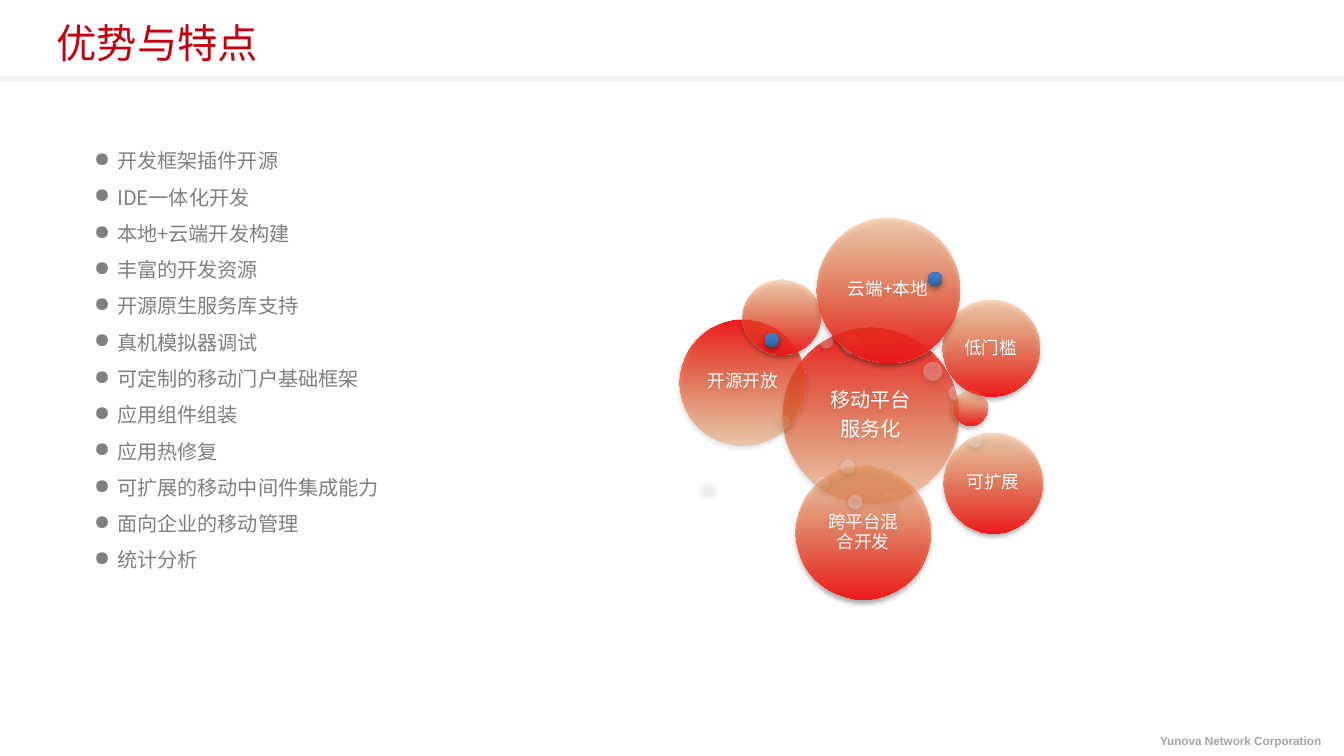
from pptx import Presentation, util as u
from pptx.dml.color import RGBColor
from pptx.enum import shapes, text
from pptx.oxml import parse_xml
from pptx.oxml.ns import nsdecls, qn
from lxml import etree

SANS = "Noto Sans CJK SC"
TITLE = "优势与特点"
FOOTER = "Yunova Network Corporation"
POINTS = [
    "开发框架插件开源", "IDE一体化开发", "本地+云端开发构建", "丰富的开发资源",
    "开源原生服务库支持", "真机模拟器调试", "可定制的移动门户基础框架", "应用组件组装",
    "应用热修复", "可扩展的移动中间件集成能力", "面向企业的移动管理", "统计分析",
]
RED = [(0, "EE1A1D", 100), (100, "FA8730", 30)]
CORE = [(0, "EE1A1D", 97), (100, "FA8730", 30)]
BLUE = [(0, "2F5F99", 100), (80, "3D7CC7", 100), (100, "3A7CCB", 100)]
GLASS = [(0, "FFFFFF", 25)]
DOWN, UP = 90, 270

# left, top, width, height, stops, angle, label, size
SMALL, LARGE = 0.12, 0.16


def dot(left, top, size=SMALL, stops=GLASS):
    return left, top, size, size, stops, UP, "", 0


BUBBLES = [
    (6.47, 2.71, 1.45, 1.45, CORE, DOWN, "移动平台\n服务化", 12),
    dot(6.74, 3.94), dot(7.84, 3.19), dot(7.28, 4.07, LARGE),
    dot(6.77, 2.76), dot(6.41, 3.43),
    (5.62, 2.64, 1.04, 1.04, RED, DOWN, "开源开放", 10.5),
    dot(6.96, 2.77, LARGE),
    (6.14, 2.31, 0.64, 0.62, RED, UP, "", 0),
    (7.79, 2.48, 0.8, 0.8, RED, UP, "低门槛", 10.5),
    dot(7.63, 2.99, LARGE), dot(5.79, 3.97), dot(6.95, 3.8),
    (7.8, 3.58, 0.82, 0.83, RED, UP, "可扩展", 10.5),
    dot(8, 3.58),
    (6.58, 3.85, 1.11, 1.11, RED, UP, "跨平台混合开发", 10.5),
    dot(7.01, 4.09),
    (6.75, 1.8, 1.18, 1.2, RED, UP, "云端+本地", 10.5),
    dot(6.32, 2.75, stops=BLUE), dot(7.67, 2.25, stops=BLUE),
    (7.87, 3.23, 0.29, 0.29, RED, UP, "", 0),
]


def tint(hue):
    return RGBColor.from_string(hue)


def place(*box):
    return [u.Inches(n) for n in box]


def style(frame, size, hue, font=SANS, bold=False):
    for para in frame.paragraphs:
        for run in para.runs:
            run.font.size = u.Pt(size)
            run.font.name = font
            run.font.bold = bold
            run.font.color.rgb = tint(hue)
            east = etree.SubElement(run.font._element, qn("a:ea"))
            east.set("typeface", font)


def label(box, words, size, hue, wrap=True, **look):
    frame = slide.shapes.add_textbox(*place(*box)).text_frame
    frame.word_wrap = wrap
    frame.text = words
    style(frame, size, hue, **look)
    return frame


def shade(hue, alpha):
    return f'<a:srgbClr val="{hue}"><a:alpha val="{alpha * 1000}"/></a:srgbClr>'


def paint(shape, stops, angle):
    shape.fill.solid()
    if len(stops) == 1:
        body = f'<a:solidFill {nsdecls("a")}>{shade(*stops[0][1:])}</a:solidFill>'
    else:
        marks = "".join(f'<a:gs pos="{pos * 1000}">{shade(hue, alpha)}</a:gs>'
                        for pos, hue, alpha in stops)
        body = (f'<a:gradFill {nsdecls("a")} rotWithShape="1"><a:gsLst>{marks}</a:gsLst>'
                f'<a:lin ang="{angle * 60000}" scaled="0"/></a:gradFill>')
    props = shape._element.spPr
    props.replace(props.find(qn("a:solidFill")), parse_xml(body))


def drop(shape):
    shape.shadow.inherit = False
    cast = (f'<a:outerShdw {nsdecls("a")} blurRad="{u.Pt(3.1)}" dist="{u.Pt(1.8)}" '
            f'dir="5400000" rotWithShape="0">{shade("000000", 35)}</a:outerShdw>')
    shape._element.spPr.find(qn("a:effectLst")).append(parse_xml(cast))


def bubble(left, top, width, height, stops, angle, words, size):
    shape = slide.shapes.add_shape(shapes.MSO_SHAPE.OVAL, *place(left, top, width, height))
    paint(shape, stops, angle)
    shape.line.fill.background()
    drop(shape)
    if not words:
        return
    frame = shape.text_frame
    frame.word_wrap = True
    frame.vertical_anchor = text.MSO_ANCHOR.MIDDLE
    frame.margin_left = frame.margin_right = u.Inches(0.05)
    frame.margin_top = frame.margin_bottom = u.Inches(0.05)
    frame.text = words
    for para in frame.paragraphs:
        para.alignment = text.PP_ALIGN.CENTER
        para.line_spacing = 0.9
        para.space_after = u.Pt(size * 0.35)
    style(frame, size, "FFFFFF")


deck = Presentation()
deck.slide_width, deck.slide_height = place(11.11, 6.25)
slide = deck.slides.add_slide(deck.slide_layouts[6])

rule = slide.shapes.add_shape(shapes.MSO_SHAPE.RECTANGLE, *place(0, 0.63, 11.11, 0.05))
rule.fill.solid()
rule.fill.fore_color.rgb = tint("F2F2F2")
rule.line.fill.background()
rule.shadow.inherit = False

foot = label((9.46, 6.02, 1.56, 0.22), FOOTER, 7, "A6A6A6", wrap=False, font="Arial", bold=True)
foot.paragraphs[0].alignment = text.PP_ALIGN.RIGHT
head = label((0.37, 0.09, 8.98, 0.52), TITLE, 24, "C8000E")
head.vertical_anchor = text.MSO_ANCHOR.MIDDLE

for item in BUBBLES:
    bubble(*item)

notes = label((0.68, 1.08, 3.4, 3.74), "\n".join(POINTS), 12, "808080")
for para in notes.paragraphs:
    para.line_spacing = 1.5
    props = para._p.get_or_add_pPr()
    props.set("marL", str(u.Inches(0.19)))
    props.set("indent", str(-u.Inches(0.19)))
    etree.SubElement(props, qn("a:buChar")).set("char", "●")

deck.save("out.pptx")
